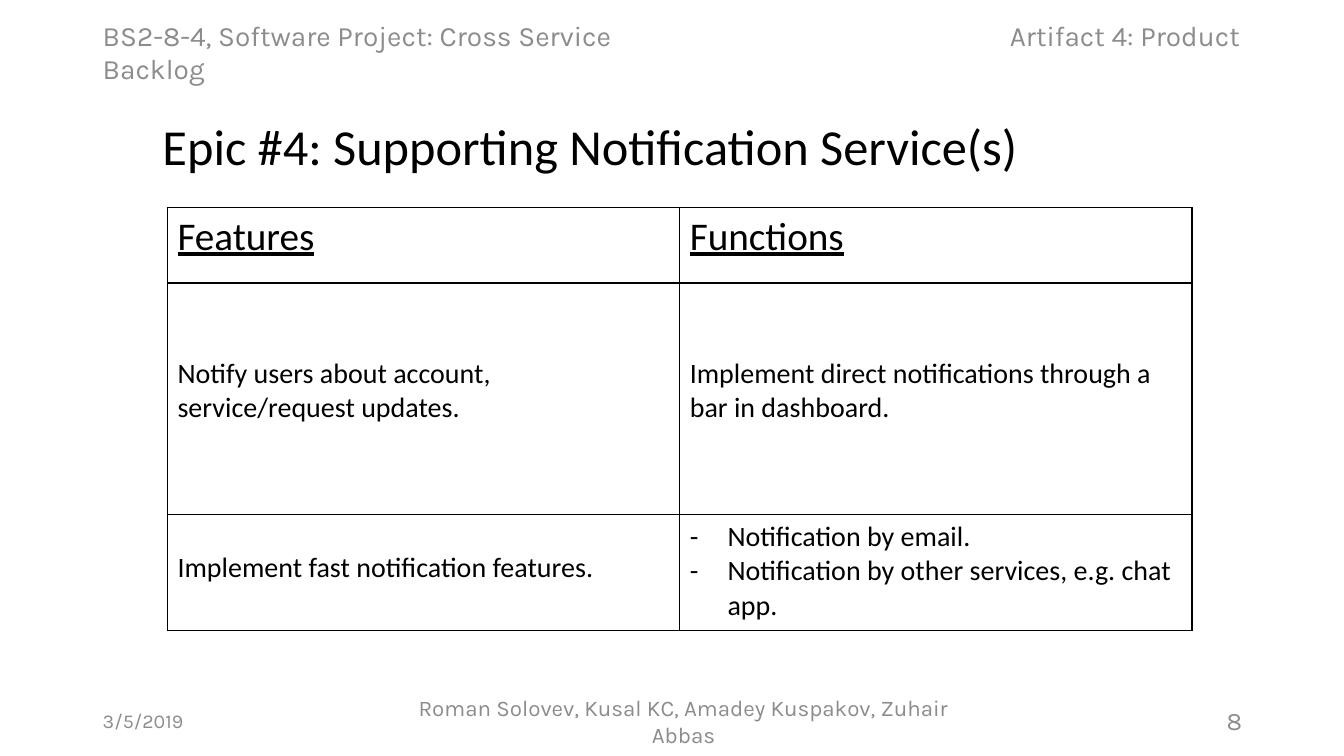
"""Build the slide for epic 4, supporting notification services."""
from dataclasses import dataclass

from lxml.etree import SubElement
from pptx import Presentation
from pptx.dml.color import RGBColor
from pptx.enum.text import MSO_ANCHOR, PP_ALIGN
from pptx.oxml.ns import qn
from pptx.util import Cm, Pt

COLORS = {"text": "000000", "muted": "8C8C8C", "paper": "FFFFFF", "border": "000000"}
BODY_FONT, MARGIN_FONT = "Calibri", "Karla"


@dataclass(frozen=True)
class MarginNote:
    text: str
    left: float
    top: float
    width: float
    height: float
    size: int
    align: PP_ALIGN = PP_ALIGN.LEFT
    tab: float = 0


@dataclass(frozen=True)
class Entry:
    lines: tuple[str, ...]
    size: int = 20
    underline: bool = False
    top_inset: float = 0.13
    dashed: bool = False


def add_run(paragraph, text: str, size: int, font: str, color: str, underline: bool = False) -> None:
    run = paragraph.add_run()
    run.text = text
    run.font.size = Pt(size)
    run.font.name = font
    run.font.bold = False
    run.font.underline = underline
    run.font.color.rgb = RGBColor.from_string(COLORS[color])


def add_note(slide, note: MarginNote) -> None:
    box = slide.shapes.add_textbox(Cm(note.left), Cm(note.top), Cm(note.width), Cm(note.height))
    frame = box.text_frame
    frame.word_wrap = True
    frame.vertical_anchor = MSO_ANCHOR.MIDDLE
    paragraph = frame.paragraphs[0]
    paragraph.alignment = note.align
    if note.tab:
        stops = SubElement(paragraph._p.get_or_add_pPr(), qn("a:tabLst"))
        SubElement(stops, qn("a:tab"), pos=str(Cm(note.tab)), algn="l")
    add_run(paragraph, note.text, note.size, MARGIN_FONT, "muted")


def add_borders(cell) -> None:
    properties = cell._tc.get_or_add_tcPr()
    for side in ("lnL", "lnR", "lnT", "lnB"):
        line = SubElement(properties, qn(f"a:{side}"), w=str(Pt(1)))
        fill = SubElement(line, qn("a:solidFill"))
        SubElement(fill, qn("a:srgbClr"), val=COLORS["border"])


def add_dash(paragraph) -> None:
    properties = paragraph._p.get_or_add_pPr()
    properties.set("marL", str(Cm(0.95)))
    properties.set("indent", str(-Cm(0.95)))
    SubElement(properties, qn("a:buFont"), typeface=BODY_FONT)
    SubElement(properties, qn("a:buChar"), char="-")


def fill_cell(cell, entry: Entry) -> None:
    add_borders(cell)
    cell.fill.solid()
    cell.fill.fore_color.rgb = RGBColor.from_string(COLORS["paper"])
    cell.margin_top = Cm(entry.top_inset)
    cell.vertical_anchor = MSO_ANCHOR.TOP
    for index, line in enumerate(entry.lines):
        frame = cell.text_frame
        paragraph = frame.add_paragraph() if index else frame.paragraphs[0]
        if entry.dashed:
            add_dash(paragraph)
        add_run(paragraph, line, entry.size, BODY_FONT, "text", entry.underline)


def add_backlog(slide, rows: list[tuple[Entry, ...]], heights: list[float]) -> None:
    frame = slide.shapes.add_table(len(rows), 2, Cm(4.22), Cm(5.23), Cm(25.82), Cm(sum(heights)))
    backlog = frame.table
    backlog.first_row = backlog.horz_banding = False
    for row, entries, height in zip(backlog.rows, rows, heights):
        row.height = Cm(height)
        for cell, entry in zip(row.cells, entries):
            fill_cell(cell, entry)


def add_title(slide, text: str) -> None:
    title = slide.shapes.title
    title.left, title.top, title.width, title.height = Cm(3.84), Cm(2.13), Cm(25.4), Cm(2.44)
    title.text_frame.vertical_anchor = MSO_ANCHOR.BOTTOM
    paragraph = title.text_frame.paragraphs[0]
    paragraph.alignment = PP_ALIGN.LEFT
    paragraph.line_spacing = 0.9
    add_run(paragraph, text, 36, BODY_FONT, "text")


FOOTER_TOP, FOOTER_HEIGHT = 17.65, 1.02
NOTES = [
    MarginNote("3/5/2019", 2.34, FOOTER_TOP, 7.62, FOOTER_HEIGHT, 14),
    MarginNote("Roman Solovev, Kusal KC, Amadey Kuspakov, Zuhair Abbas",
               9.53, FOOTER_TOP, 15.39, FOOTER_HEIGHT, 16, PP_ALIGN.CENTER),
    MarginNote("8", 23.93, FOOTER_TOP, 7.62, FOOTER_HEIGHT, 18, PP_ALIGN.RIGHT),
    MarginNote("BS2-8-4, Software Project: Cross Service\tArtifact 4: Product Backlog",
               2.34, 0.38, 29.21, 1.85, 20, tab=22.86),
]
BACKLOG = [
    (Entry(("Features",), 28, True), Entry(("Functions",), 28, True)),
    (Entry(("Notify users about account, service/request updates.",), top_inset=1.85),
     Entry(("Implement direct notifications through a bar in dashboard.",), top_inset=1.85)),
    (Entry(("Implement fast notification features.",), top_inset=0.9),
     Entry(("Notification by email.", "Notification by other services, e.g. chat app."), dashed=True)),
]

presentation = Presentation()
presentation.slide_width, presentation.slide_height = Cm(33.87), Cm(19.05)
epic = presentation.slides.add_slide(presentation.slide_layouts[5])
for margin_note in NOTES:
    add_note(epic, margin_note)
add_title(epic, "Epic #4: Supporting Notification Service(s)")
add_backlog(epic, BACKLOG, [1.9, 5.84, 2.92])
presentation.save("out.pptx")
